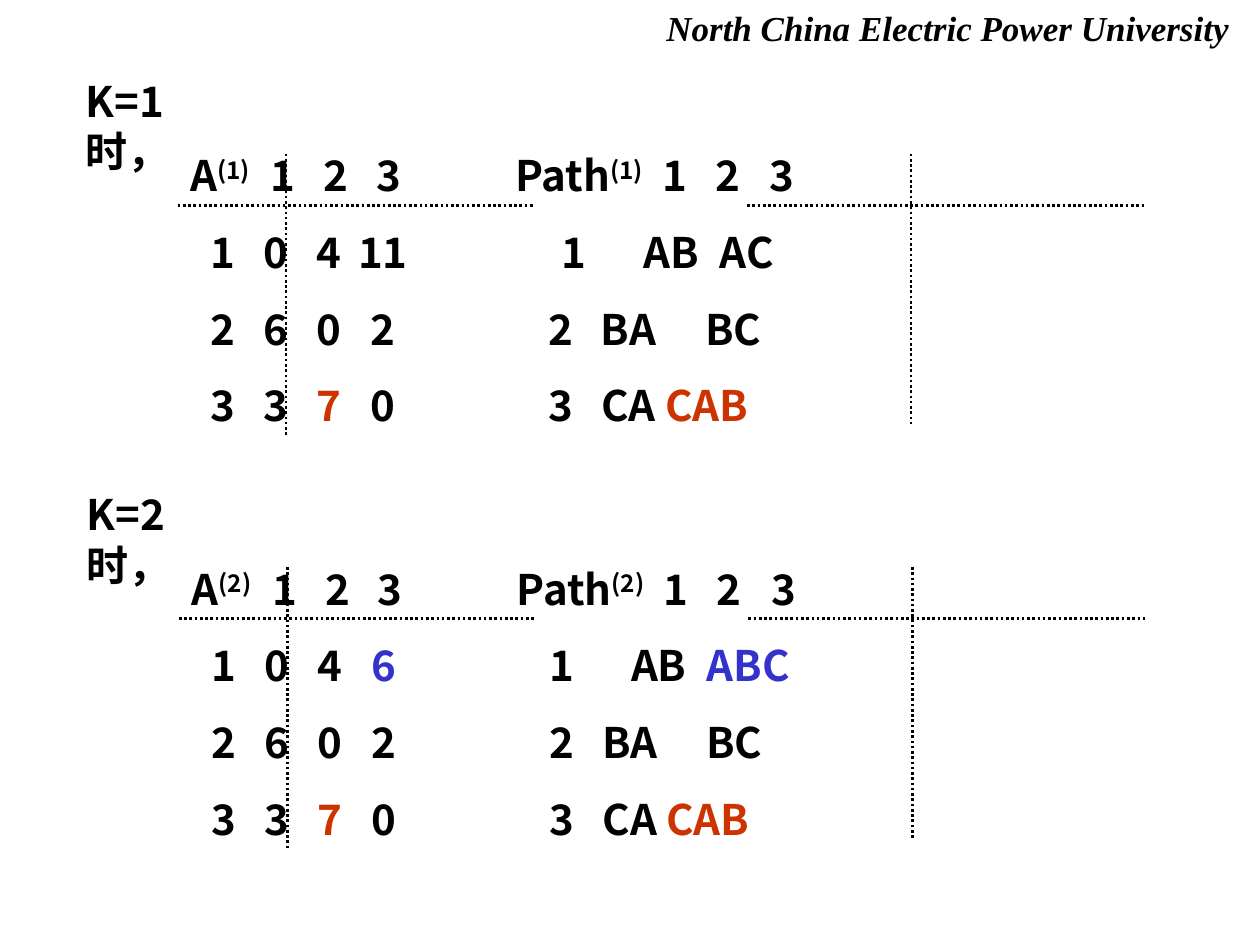
from lxml import etree
from pptx import Presentation
from pptx.dml.color import RGBColor
from pptx.enum import dml, shapes, text
from pptx.oxml.ns import qn
from pptx.util import Inches, Pt

SANS = "Noto Sans CJK SC"
# Leading marks in a cell choose its colour; ^ starts a superscript.
COLORS = {"!": "CC3300", "*": "3333CC"}


def style(run, size=24, face=SANS, color="000000"):
    font = run.font
    font.size, font.bold, font.name = Pt(size), True, face
    font.color.rgb = RGBColor.from_string(color)
    etree.SubElement(run._r.rPr, qn("a:ea")).set("typeface", face)


def add_box(x, y, w, h, wrap):
    frame = slide.shapes.add_textbox(Inches(x), Inches(y), Inches(w), Inches(h)).text_frame
    frame.word_wrap = wrap
    return frame


prs = Presentation()
prs.slide_width, prs.slide_height = Inches(10), Inches(7.5)
slide = prs.slides.add_slide(prs.slide_layouts[6])

head = add_box(5.19, 0, 4.67, 0.44, False)
head.text = "North China Electric Power University"
run = head.paragraphs[0].runs[0]
style(run, 20, "Times New Roman")
run.font.italic = True

# Centred tab stops, measured from the text edge of the matrix box
top_tabs = [1.22, 1.72, 2.14, 2.56, 4.07, 4.83, 5.25, 5.68]
left_tabs = [1.24, 1.66, 2.08, 2.51]
row2 = ("2 6 0 2 2 BA BC", left_tabs + [3.92, 4.46, 5.29])
row3 = ("3 3 !7 0 3 CA !CAB", left_tabs + [3.92, 4.46, 5.08])
first_rows = [
    ("1 0 4 11 1 AB AC", left_tabs + [4.03, 4.8, 5.4]),
    ("1 0 4 *6 1 AB *ABC", left_tabs + [3.92, 4.69, 5.4]),
]

for step, row1 in enumerate(first_rows):
    k = step + 1
    dx, dy = 0.01 * step, 3.28 * step

    label = add_box(0.58 + dx, 0.55 + dy, 1.55, 0.5, False)
    label.text = f"K={k}\v时，"
    for run in label.paragraphs[0].runs:
        style(run)

    grid = add_box(0.43 + dx, 1.14 + dy, 9, 3, True)
    top = (f"A^({k}) 1 2 3 Path^({k}) 1 2 3", top_tabs)
    for i, (cells, tabs) in enumerate([top, row1, row2, row3]):
        para = grid.add_paragraph() if i else grid.paragraphs[0]
        if i:
            para.space_before = Pt(15)
        stops = etree.SubElement(para._p.get_or_add_pPr(), qn("a:tabLst"))
        for pos in tabs:
            etree.SubElement(stops, qn("a:tab"), pos=str(Inches(pos)), algn="ctr")
        for cell in cells.split():
            color = COLORS.get(cell[0], "000000")
            base, _, power = cell.lstrip("!*").partition("^")
            run = para.add_run()
            run.text = "\t" + base
            style(run, color=color)
            if power:
                run = para.add_run()
                run.text = power
                style(run)
                run._r.rPr.set("baseline", "30000")

    for x1, y1, x2, y2 in [(1.41, 1.63, 4.24, 1.63), (2.27, 1.22, 2.27, 3.47),
                           (5.93, 1.63, 9.09, 1.63), (7.23, 1.22, 7.23, 3.38)]:
        rule = slide.shapes.add_connector(
            shapes.MSO_CONNECTOR.STRAIGHT, Inches(x1 + dx), Inches(y1 + dy),
            Inches(x2 + dx), Inches(y2 + dy))
        rule.line.color.rgb = RGBColor.from_string("000000")
        rule.line.width = Pt(1.5)
        rule.line.dash_style = dml.MSO_LINE.ROUND_DOT
        etree.SubElement(rule._element.spPr, qn("a:effectLst"))

for shape in slide.shapes:
    if shape.has_text_frame:
        shape.text_frame.auto_size = text.MSO_AUTO_SIZE.NONE

prs.save("out.pptx")
